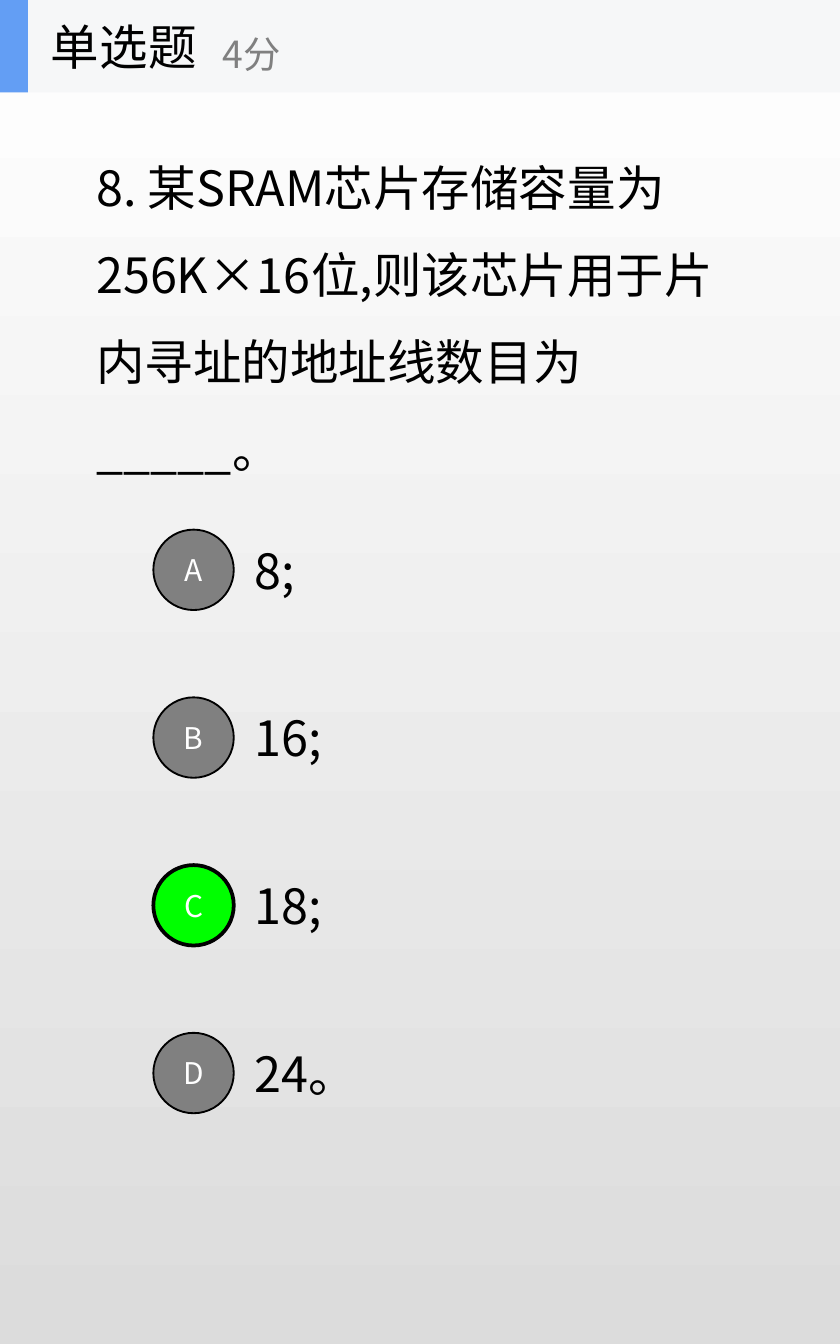
"""Build a single-choice question slide with four lettered options."""
from dataclasses import dataclass

from lxml.etree import SubElement
from pptx import Presentation
from pptx.dml.color import RGBColor
from pptx.enum.shapes import MSO_SHAPE
from pptx.enum.text import MSO_ANCHOR, MSO_AUTO_SIZE, PP_ALIGN
from pptx.oxml.ns import qn
from pptx.shapes.autoshape import Shape
from pptx.slide import Slide
from pptx.util import Cm, Pt

FONT = "Noto Sans CJK SC"
BLACK = RGBColor(0x00, 0x00, 0x00)
WHITE = RGBColor(0xFF, 0xFF, 0xFF)
GRAY = RGBColor(0x80, 0x80, 0x80)
GREEN = RGBColor(0x00, 0xFF, 0x00)
BLUE = RGBColor(0x63, 0x9E, 0xF4)
HEADER = RGBColor(0xF6, 0xF7, 0xF8)
BOTTOM = RGBColor(0xDC, 0xDC, 0xDC)

WIDTH, HEIGHT, BAR_HEIGHT = 15.88, 25.4, 1.75
FIRST_TOP, PITCH, CIRCLE = 10.01, 3.17, 1.52


@dataclass
class Option:
    letter: str
    text: str
    width: float
    correct: bool = False


OPTIONS = [
    Option("A", "8;", 1.27),
    Option("B", "16;", 1.8),
    Option("C", "18;", 1.8, correct=True),
    Option("D", "24。", 2.49),
]


def write(sp: Shape, text: str, size: int, color: RGBColor = BLACK,
          align: PP_ALIGN = PP_ALIGN.LEFT, spacing: float = 1.0, **frame) -> None:
    tf = sp.text_frame
    frame_format = {"word_wrap": True, "auto_size": MSO_AUTO_SIZE.NONE,
                    "vertical_anchor": MSO_ANCHOR.MIDDLE} | frame
    for name, value in frame_format.items():
        setattr(tf, name, value)
    p = tf.paragraphs[0]
    p.alignment, p.line_spacing = align, spacing
    r = p.add_run()
    r.text = text
    for name, value in {"size": Pt(size), "name": FONT}.items():
        setattr(r.font, name, value)
    r.font.color.rgb = color
    SubElement(r.font._element, qn("a:ea"), typeface=FONT)


def add_text(s: Slide, box: tuple[float, ...], text: str, size: int, **style) -> None:
    write(s.shapes.add_textbox(*map(Cm, box)), text, size, **style)


def add_filled(s: Slide, kind: MSO_SHAPE, box: tuple[float, ...], fill: RGBColor) -> Shape:
    sp = s.shapes.add_shape(kind, *map(Cm, box))
    sp.shadow.inherit = False
    sp.fill.solid()
    sp.fill.fore_color.rgb = fill
    sp.line.fill.background()
    return sp


def add_option(s: Slide, option: Option, top: float) -> None:
    add_text(s, (4.57, top + 0.08, option.width, 1.35), option.text, 26,
             auto_size=MSO_AUTO_SIZE.SHAPE_TO_FIT_TEXT)
    sp = add_filled(s, MSO_SHAPE.OVAL, (2.9, top, CIRCLE, CIRCLE),
                    GREEN if option.correct else GRAY)
    sp.line.color.rgb = BLACK
    sp.line.width = Pt(2 if option.correct else 1)
    write(sp, option.letter, 16, WHITE, PP_ALIGN.CENTER)


def add_header(s: Slide) -> None:
    title = s.shapes.title
    for width, color in ((WIDTH, HEADER), (0.53, BLUE)):
        bar = add_filled(s, MSO_SHAPE.RECTANGLE, (0, 0, width, BAR_HEIGHT), color)
        title._element.addprevious(bar._element)
    place = {"left": 0.71, "top": 0, "width": 5.28, "height": BAR_HEIGHT}
    for name, value in place.items():
        setattr(title, name, Cm(value))
    write(title, "单选题", 26, word_wrap=False)
    add_text(s, (3.96, 0.3, 6.35, 1.42), "4分", 20, color=GRAY, word_wrap=False)


def main() -> None:
    prs = Presentation()
    prs.slide_width, prs.slide_height = Cm(WIDTH), Cm(HEIGHT)
    s = prs.slides.add_slide(prs.slide_layouts[5])
    fill = s.background.fill
    fill.gradient()
    fill.gradient_angle = 270
    for stop, color in zip(fill.gradient_stops, (WHITE, BOTTOM)):
        stop.color.rgb = color
    add_header(s)
    add_text(s, (1.57, 3.1, 12.65, 5.26),
             "8. 某SRAM芯片存储容量为256K×16位,则该芯片用于片内寻址的地址线数目为_____。",
             26, spacing=1.5, auto_size=MSO_AUTO_SIZE.SHAPE_TO_FIT_TEXT)
    for i, option in enumerate(OPTIONS):
        add_option(s, option, FIRST_TOP + i * PITCH)
    prs.save("out.pptx")


if __name__ == "__main__":
    main()
